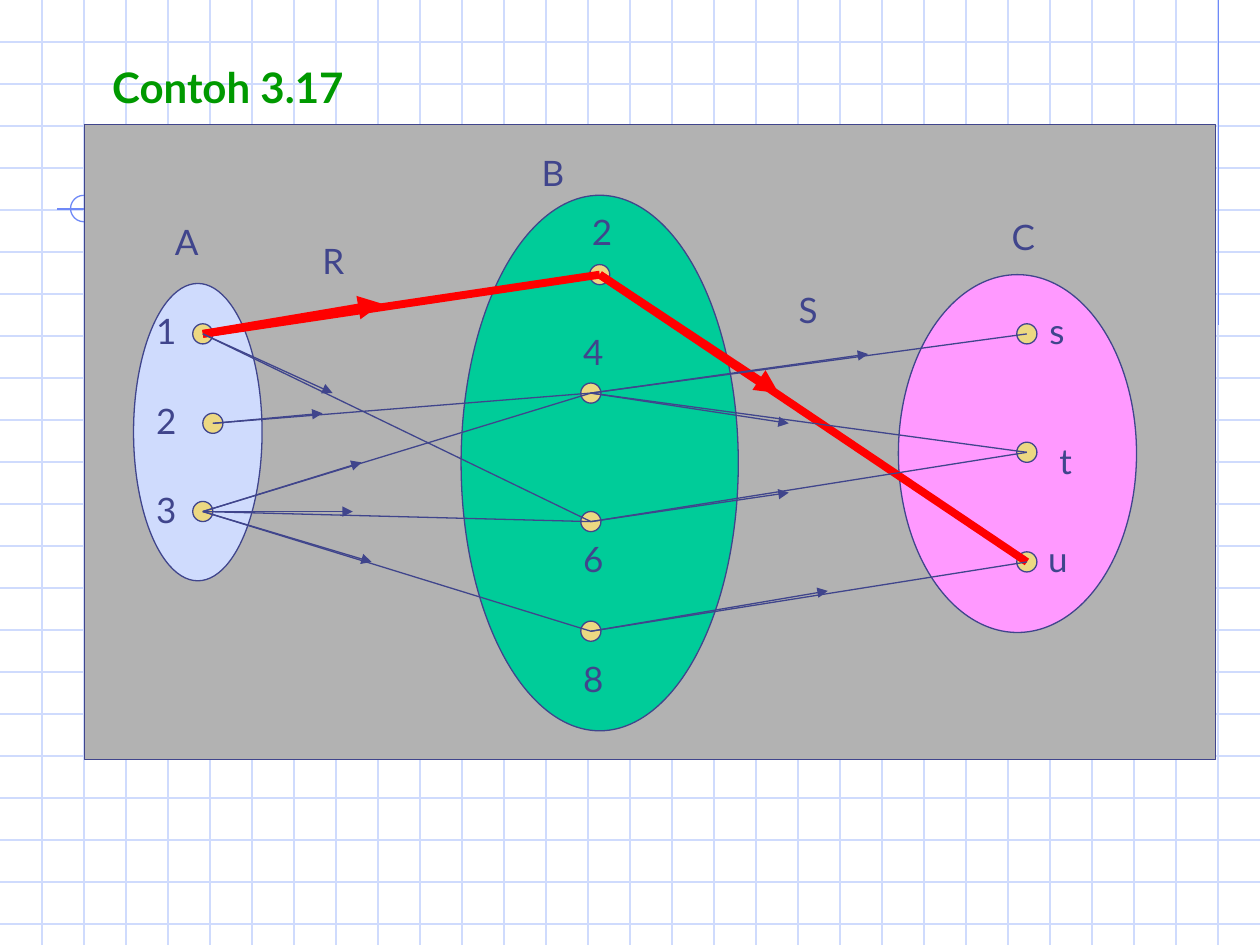
from lxml import etree
from pptx import Presentation, util as u
from pptx.dml.color import RGBColor
from pptx.enum import shapes, text
from pptx.oxml import ns

INK, RED, GRID, ACCENT = "40458C", "FF0000", "CFDBFD", "6F89F7"
PANEL, DOT, GREEN = "B2B2B2", "ECD882", "009900"

SETS = [
    (1.06, 2.25, 1.02, 2.36, "CFDBFD"),
    (3.66, 1.55, 2.2, 4.25, "00CC99"),
    (7.13, 2.18, 1.89, 2.84, "FF99FF"),
]
NODES = {
    "1": (1.61, 2.65), "2": (1.69, 3.36), "3": (1.61, 4.06),
    "B2": (4.76, 2.18), "B4": (4.69, 3.12), "B6": (4.69, 4.14), "B8": (4.69, 5.01),
    "u": (8.15, 4.46), "t": (8.15, 3.59), "s": (8.15, 2.65),
}
RELATIONS = [
    ("1", "B2", (3.03, 2.41)), ("1", "B6", (2.64, 3.12)),
    ("2", "B4", (2.56, 3.28)), ("3", "B4", (2.87, 3.67)),
    ("3", "B6", (2.8, 4.06)), ("3", "B8", (2.95, 4.46)),
    ("B2", "u", (6.18, 3.12)), ("B4", "s", (6.89, 2.81)),
    ("B4", "t", (6.26, 3.36)), ("B6", "t", (6.26, 3.91)),
    ("B8", "u", (6.57, 4.69)),
]
HIGHLIGHTED = {("1", "B2"), ("B2", "u")}
LABELS = [
    ("1", 1.14, 2.41, 0.36), ("2", 1.14, 3.12, 0.36), ("3", 1.14, 3.83, 0.36),
    ("2", 4.6, 1.62, 0.36), ("4", 4.53, 2.57, 0.36),
    ("6", 4.53, 4.22, 0.36), ("8", 4.53, 5.17, 0.36),
    ("s", 8.23, 2.41, 0.33), ("t", 8.31, 3.44, 0.3), ("u", 8.22, 4.22, 0.37),
    ("R", 2.46, 1.85, 0.37), ("S", 6.24, 2.24, 0.35),
    ("A", 1.29, 1.7, 0.38), ("B", 4.2, 1.15, 0.38), ("C", 7.93, 1.66, 0.37),
]


def color(value):
    """Return the colour for a hex string."""
    return RGBColor.from_string(value)


class Sketch:
    """Holds the style and the current slide."""

    font = "Lato"
    thin, thick = 0.75, 4.5

    def __init__(self, page):
        """Keep the slide to draw on."""
        self.page = page

    def line(self, start, end, ink=INK, weight=thin, arrow=False):
        """Draw a straight line, with an arrowhead at its end if asked."""
        points = [u.Inches(value) for value in (*start, *end)]
        link = self.page.shapes.add_connector(shapes.MSO_CONNECTOR.STRAIGHT, *points)
        link.line.color.rgb = color(ink)
        link.line.width = u.Pt(weight)
        properties = link.element.spPr
        if arrow:
            outline = properties.find(ns.qn("a:ln"))
            etree.SubElement(outline, ns.qn("a:tailEnd"), type="triangle")
        etree.SubElement(properties, ns.qn("a:effectLst"))

    def shape(self, kind, left, top, width, height, fill=None, ink=INK):
        """Draw a preset shape, unfilled when no fill is given."""
        lengths = [u.Inches(value) for value in (left, top, width, height)]
        item = self.page.shapes.add_shape(kind, *lengths)
        item.shadow.inherit = False
        if fill:
            item.fill.solid()
            item.fill.fore_color.rgb = color(fill)
        else:
            item.fill.background()
        item.line.color.rgb = color(ink)
        item.line.width = u.Pt(self.thin)
        return item

    def fill_text(self, box, words, size, ink, bold=False):
        """Fill a box with one line of styled text."""
        frame = box.text_frame
        layout = {
            "word_wrap": False, "auto_size": text.MSO_AUTO_SIZE.NONE,
            "vertical_anchor": text.MSO_ANCHOR.TOP,
            "margin_left": u.Inches(0.1), "margin_right": u.Inches(0.1),
            "margin_top": u.Inches(0.05), "margin_bottom": u.Inches(0.05),
        }
        for name, value in layout.items():
            setattr(frame, name, value)
        para = frame.paragraphs[0]
        para.alignment = text.PP_ALIGN.LEFT
        span = para.add_run()
        span.text = words
        for name, value in {"name": self.font, "size": u.Pt(size), "bold": bold}.items():
            setattr(span.font, name, value)
        span.font.color.rgb = color(ink)

    def label(self, words, left, top, width):
        """Add a one-letter label."""
        lengths = [u.Inches(value) for value in (left, top, width, 0.44)]
        self.fill_text(self.page.shapes.add_textbox(*lengths), words, 20, INK)

    def title(self, words, left, top, width, height):
        """Place the title above everything drawn so far."""
        box = self.page.shapes.title
        places = {"left": left, "top": top, "width": width, "height": height}
        for name, value in places.items():
            setattr(box, name, u.Inches(value))
        self.fill_text(box, words, 24, GREEN, bold=True)
        self.page.shapes.element.append(box.element)


def draw_background(sketch):
    """Draw the squared paper and its accent marks."""
    for row in range(1, 23):
        sketch.line((0, row / 3), (10, row / 3), GRID)
    for column in range(1, 30):
        sketch.line((column / 3, 0), (column / 3, 7.5), GRID)
    sketch.line((9.67, 0), (9.67, 2.58), ACCENT)
    sketch.line((2.4, 1.66), (0.45, 1.66), ACCENT)
    sketch.line((0.67, 1.55), (0.67, 4.09), ACCENT)
    arc = sketch.shape(shapes.MSO_SHAPE.ARC, 0.56, 1.55, 0.21, 0.21, ink=ACCENT)
    arc.adjustments[0], arc.adjustments[1] = 0, 162


def draw_diagram(sketch):
    """Draw the three sets, their members and the relations."""
    oval = shapes.MSO_SHAPE.OVAL
    sketch.shape(shapes.MSO_SHAPE.RECTANGLE, 0.67, 0.99, 8.98, 5.04, PANEL)
    for *place, fill in SETS:
        sketch.shape(oval, *place, fill)
    for x, y in NODES.values():
        sketch.shape(oval, x - 0.08, y - 0.08, 0.16, 0.16, DOT)
    for source, target, tip in RELATIONS:
        strong = (source, target) in HIGHLIGHTED
        pen = (RED, sketch.thick) if strong else (INK, sketch.thin)
        sketch.line(NODES[source], NODES[target], *pen)
        sketch.line(NODES[source], tip, *pen, arrow=True)
    for label in LABELS:
        sketch.label(*label)


def main():
    """Build the slide and save it."""
    deck = Presentation()
    deck.slide_width, deck.slide_height = u.Inches(10), u.Inches(7.5)
    sketch = Sketch(deck.slides.add_slide(deck.slide_layouts[5]))
    draw_background(sketch)
    sketch.title("Contoh 3.17", 0.79, 0.44, 2.16, 0.5)
    draw_diagram(sketch)
    deck.save("out.pptx")


if __name__ == "__main__":
    main()
